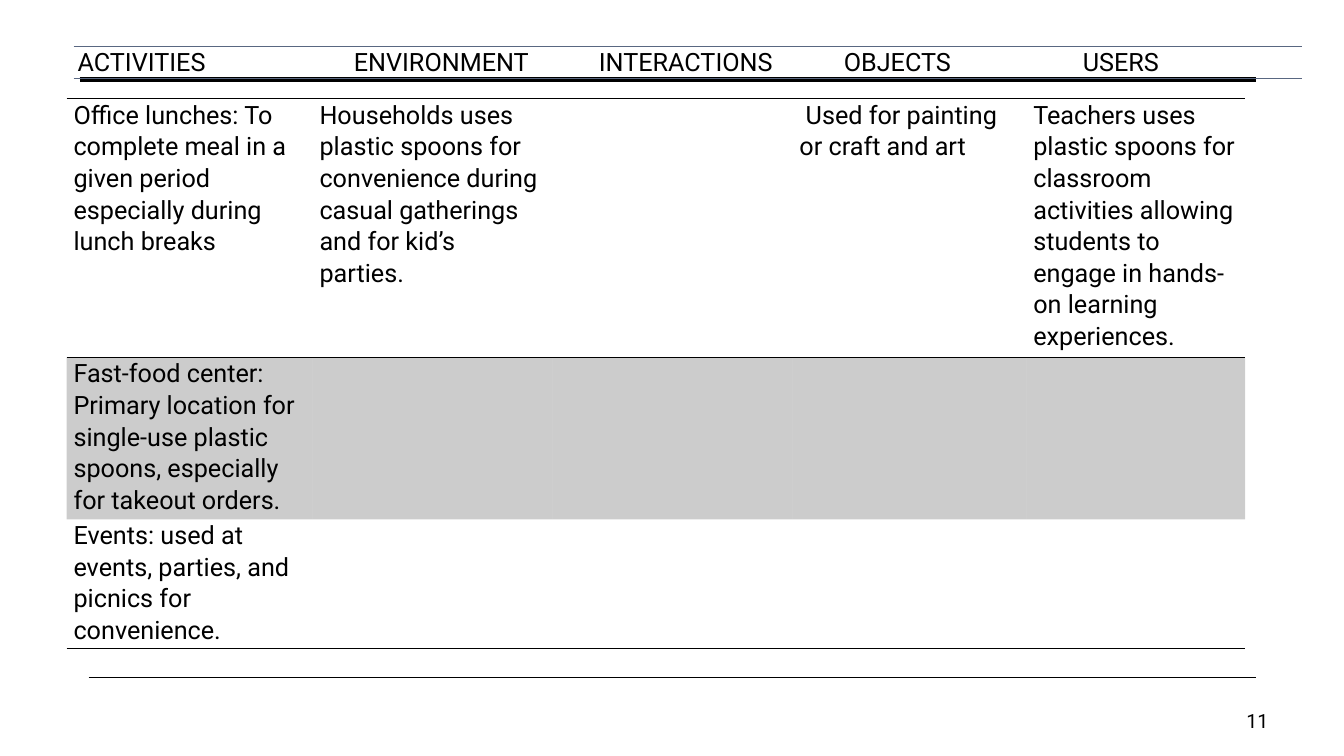
from pptx import Presentation
from pptx.dml.color import RGBColor
from pptx.enum.shapes import MSO_CONNECTOR
from pptx.enum.text import MSO_ANCHOR, PP_ALIGN
from pptx.oxml.ns import qn
from pptx.util import Inches, Pt
from lxml import etree

STRAIGHT = MSO_CONNECTOR.STRAIGHT
MIDDLE = MSO_ANCHOR.MIDDLE
RIGHT = PP_ALIGN.RIGHT
FONT = "Roboto"
COLORS = {"black": "000000", "header_rule": "596781"}

HEADINGS = [["ACTIVITIES", "ENVIRONMENT", "INTERACTIONS", "OBJECTS", "USERS"]]
OBSERVATIONS = [
    [
        "Office lunches: To complete meal in a given period especially during lunch breaks",
        "Households uses plastic spoons for convenience during casual gatherings and for kid’s parties.",
        "",
        " Used for painting or craft and art",
        "Teachers uses plastic spoons for classroom activities allowing students to engage in hands-on learning experiences.",
    ],
    [
        "Fast-food center: Primary location for single-use plastic spoons, especially for takeout orders.",
        "", "", "", "",
    ],
    ["Events: used at events, parties, and picnics for convenience.", "", "", "", ""],
]


def color(name):
    return RGBColor.from_string(COLORS[name])


def add_rule(s, x1, x2, y, width):
    line = s.shapes.add_connector(STRAIGHT, Inches(x1), Inches(y), Inches(x2), Inches(y))
    line.line.color.rgb = color("black")
    line.line.width = Pt(width)
    etree.SubElement(line._element.spPr, qn("a:effectLst"))


def write(p, text, size=18):
    p.font.size = Pt(size)
    p.font.name = FONT
    p.font.color.rgb = color("black")
    if text:
        r = p.add_run()
        r.text = text
        r.font.size = Pt(size)
        r.font.name = FONT
        r.font.color.rgb = color("black")


def set_borders(cell, edges):
    tc_pr = cell._tc.get_or_add_tcPr()
    for i, side in enumerate(("lnL", "lnR", "lnT", "lnB")):
        ln = etree.Element(qn(f"a:{side}"), w=str(Pt(1)))
        if side in edges:
            fill = etree.SubElement(ln, qn("a:solidFill"))
            etree.SubElement(fill, qn("a:srgbClr"), val=COLORS[edges[side]])
        else:
            etree.SubElement(ln, qn("a:noFill"))
        tc_pr.insert(i, ln)


def set_fill(cell, shaded):
    if not shaded:
        cell.fill.background()
        return
    cell.fill.solid()
    cell.fill.fore_color.rgb = color("black")
    rgb = cell._tc.tcPr.find(qn("a:solidFill")).find(qn("a:srgbClr"))
    etree.SubElement(rgb, qn("a:alpha"), val="20000")


def add_grid(s, rows, left, top, widths, heights, margin, borders, shaded=()):
    frame = s.shapes.add_table(
        len(rows), len(widths), Inches(left), Inches(top),
        Inches(sum(widths)), Inches(sum(heights)),
    )
    table = frame.table
    table.first_row = False
    table.horz_banding = False
    for column, width in zip(table.columns, widths):
        column.width = Inches(width)
    for i, (texts, height) in enumerate(zip(rows, heights)):
        table.rows[i].height = Inches(height)
        for j, text in enumerate(texts):
            cell = table.cell(i, j)
            cell.margin_left = cell.margin_right = Inches(margin)
            cell.margin_top = cell.margin_bottom = 0
            p = cell.text_frame.paragraphs[0]
            p.line_spacing = 1.07
            p.space_after = Pt(8)
            write(p, text)
            set_fill(cell, i in shaded)
            set_borders(cell, borders[i])


def add_page_number(s, text):
    box = s.shapes.add_textbox(Inches(11.94), Inches(6.95), Inches(0.74), Inches(0.4))
    tf = box.text_frame
    tf.word_wrap = True
    tf.vertical_anchor = MIDDLE
    p = tf.paragraphs[0]
    p.alignment = RIGHT
    write(p, text, size=14)


def main():
    prs = Presentation()
    prs.slide_width = Inches(13.33)
    prs.slide_height = Inches(7.5)
    s = prs.slides.add_slide(prs.slide_layouts[6])

    add_rule(s, 0.88, 12.46, 0.79, 3.5)
    add_rule(s, 0.88, 12.46, 6.72, 1)
    add_rule(s, 0.79, 7.12, 0.79, 3.5)
    add_page_number(s, "11")

    add_grid(
        s, OBSERVATIONS, 0.66, 0.98,
        [2.44, 2.38, 2.38, 2.32, 2.17], [2.5, 1.57, 1.25], 0.07,
        [{"lnT": "black", "lnB": "black"}, {"lnT": "black"}, {"lnB": "black"}],
        shaded=(1,),
    )
    add_grid(
        s, HEADINGS, 0.73, 0.46,
        [2.74, 2.43, 2.43, 2.37, 2.21], [0.29], 0.04,
        [{"lnT": "header_rule", "lnB": "header_rule"}],
    )
    prs.save("out.pptx")


if __name__ == "__main__":
    main()
